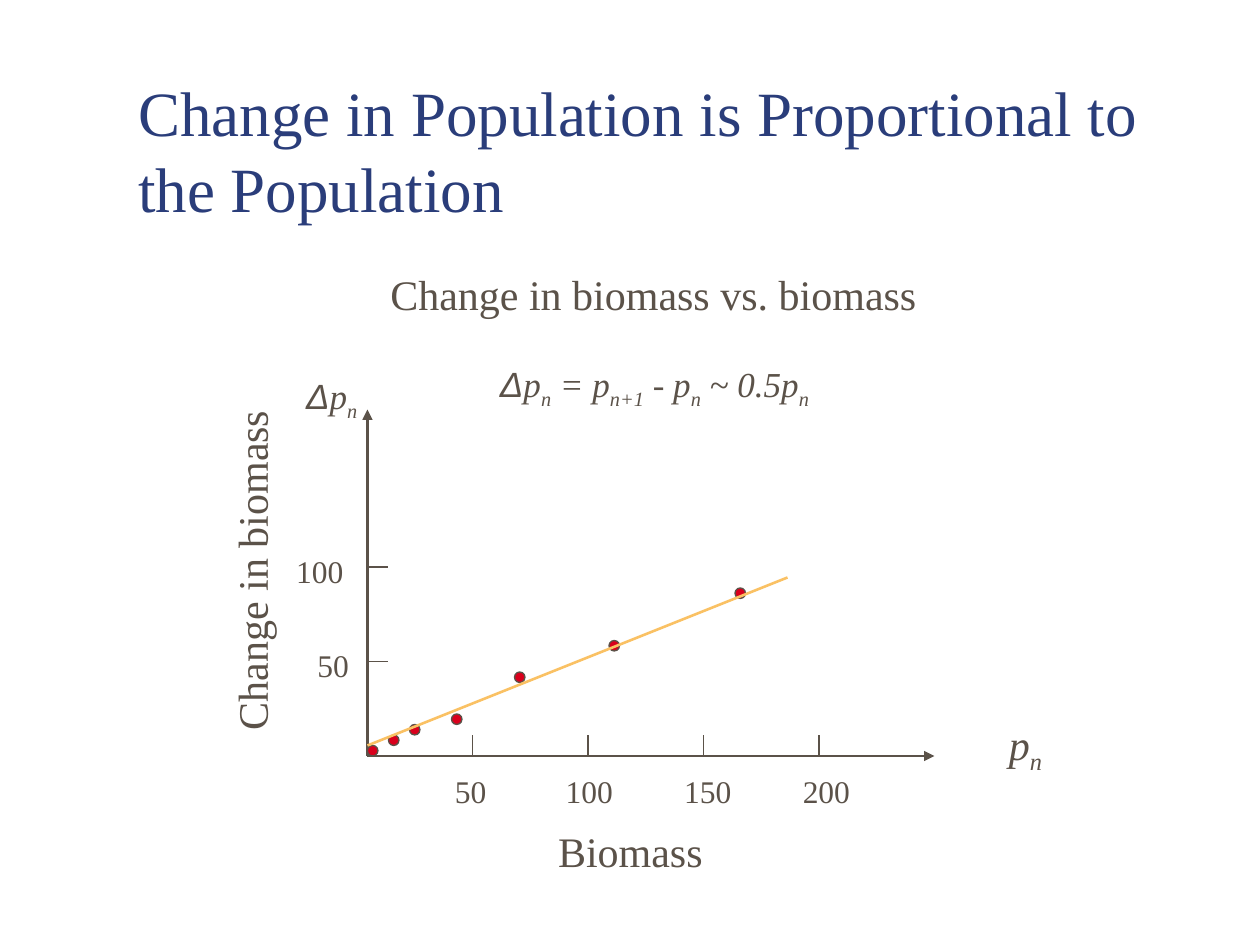
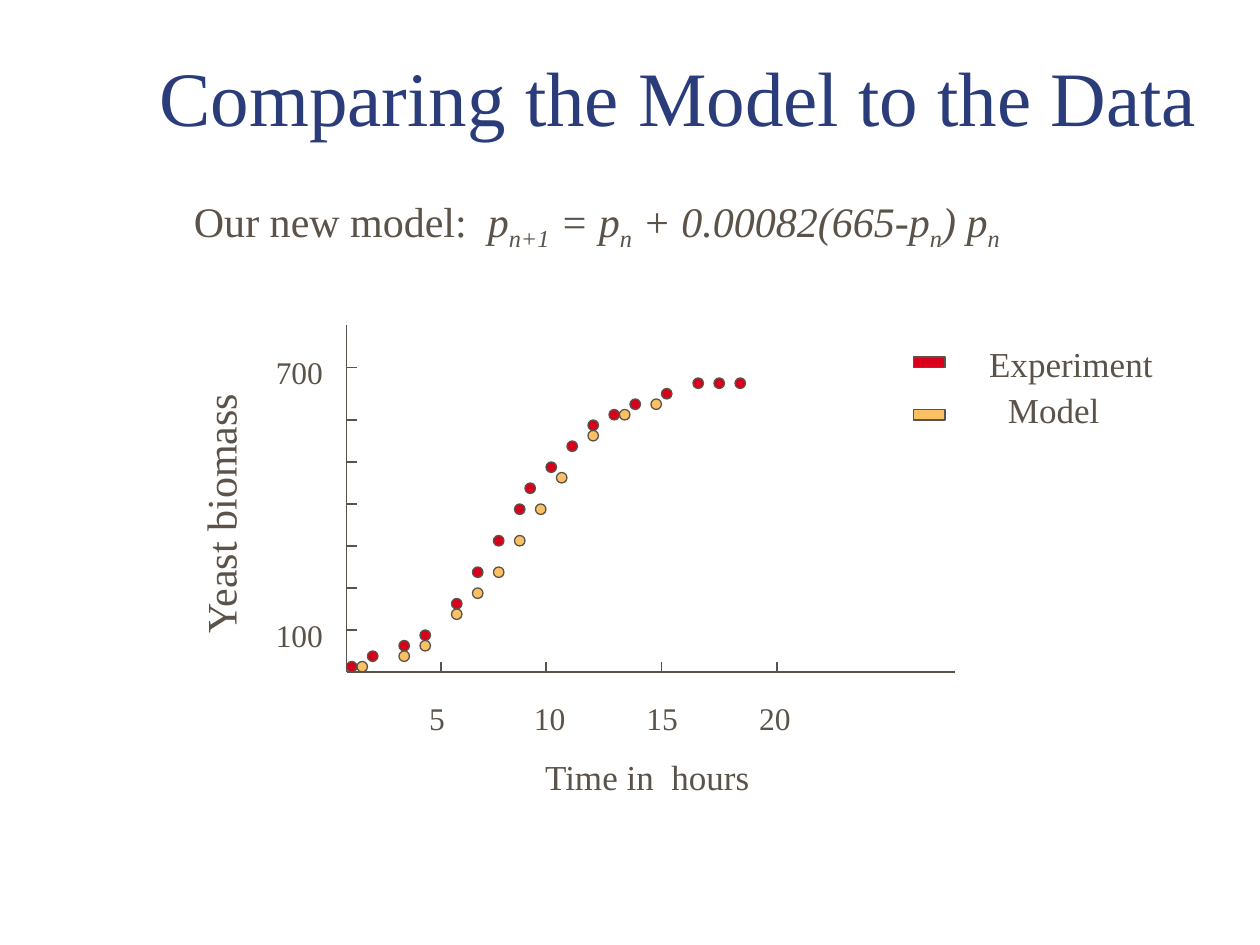
from pptx import Presentation, util as u
from pptx.dml.color import RGBColor
from pptx.enum import shapes, text
from pptx.oxml import ns, xmlchemy

COLORS = {"title": "2A3D7A", "ink": "5B5249", "data": "D9001C", "model": "FAC164"}
SERIF, SANS = "Times New Roman", "Arial"
GRID = 2.54 / 12


def color(name):
    return RGBColor.from_string(COLORS[name])


def grid(steps):
    return u.Cm(steps * GRID)


def plain(words):
    return [(words, SERIF, False, False)]


def formula(*pieces):
    runs = []
    for index, piece in enumerate(pieces):
        if piece.startswith("Δ"):
            runs.append(("Δ", SANS, True, False))
            piece = piece[1:]
        runs.append((piece, SERIF, True, index % 2 == 1))
    return runs


class Deck:
    def __init__(self):
        self.presentation = Presentation()
        self.presentation.slide_width = u.Cm(25.4)
        self.presentation.slide_height = u.Cm(19.05)
        self.slide = None

    def new_slide(self):
        layout = self.presentation.slide_layouts[6]
        self.slide = self.presentation.slides.add_slide(layout)

    def add_runs(self, paragraph, runs, size, ink):
        for words, font_name, italic, subscript in runs:
            run = paragraph.add_run()
            run.text = words
            run.font.name = font_name
            run.font.size = u.Pt(size)
            run.font.italic = italic
            run.font.color.rgb = color(ink)
            if subscript:
                run._r.get_or_add_rPr().set("baseline", "-25000")

    def text_box(self, box, runs, size, ink="ink", wrap=False, rotation=0):
        shape = self.slide.shapes.add_textbox(*map(u.Cm, box))
        shape.rotation = rotation
        frame = shape.text_frame
        frame.word_wrap = wrap
        if not wrap:
            frame.auto_size = text.MSO_AUTO_SIZE.SHAPE_TO_FIT_TEXT
        self.add_runs(frame.paragraphs[0], runs, size, ink)
        return frame

    def title(self, box, words, size):
        frame = self.text_box(box, plain(words), size, "title", wrap=True)
        frame.vertical_anchor = text.MSO_ANCHOR.BOTTOM

    def vertical_label(self, box, words):
        self.text_box(box, plain(words), 24, rotation=270)

    def tick_labels(self, box, labels, first, step):
        words = "".join("\t" + label for label in labels)
        frame = self.text_box(box, plain(words), 18, wrap=True)
        properties = frame.paragraphs[0]._p.get_or_add_pPr()
        stops = xmlchemy.OxmlElement("a:tabLst")
        for index in range(len(labels)):
            stop = xmlchemy.OxmlElement("a:tab")
            stop.set("pos", str(u.Cm(first + index * step)))
            stop.set("algn", "ctr")
            stops.append(stop)
        properties.append(stops)

    def line(self, x1, y1, x2, y2, width=0.75, ink="ink", arrow=False):
        connector = self.slide.shapes.add_connector(
            shapes.MSO_CONNECTOR.STRAIGHT, *map(grid, (x1, y1, x2, y2)))
        connector.line.color.rgb = color(ink)
        connector.line.width = u.Pt(width)
        properties = connector._element.spPr
        if arrow:
            tail = xmlchemy.OxmlElement("a:tailEnd")
            tail.set("type", "triangle")
            properties.find(ns.qn("a:ln")).append(tail)
        properties.append(xmlchemy.OxmlElement("a:effectLst"))

    def axes(self, origin, top, right, x_ticks, y_ticks, tick, width=0.75, arrow=False):
        x, y = origin
        self.line(x, y, x, top, width, arrow=arrow)
        self.line(x, y, right, y, width, arrow=arrow)
        for x_tick in x_ticks:
            self.line(x_tick, y, x_tick, y - tick)
        for y_tick in y_ticks:
            self.line(x, y_tick, x + tick, y_tick)

    def mark(self, kind, x, y, fill, width=1):
        shape = self.slide.shapes.add_shape(kind, *map(grid, (x, y, width, 1)))
        shape.shadow.inherit = False
        shape.fill.solid()
        shape.fill.fore_color.rgb = color(fill)
        shape.line.color.rgb = color("ink")
        shape.line.width = u.Pt(0.75)

    def dots(self, points, fill):
        for x, y in points:
            self.mark(shapes.MSO_SHAPE.OVAL, x, y, fill)

    def legend_entry(self, y, fill, box, words):
        self.mark(shapes.MSO_SHAPE.RECTANGLE, 87, y, fill, width=3)
        self.text_box(box, plain(words), 20)


def proportional_slide(deck):
    deck.new_slide()
    deck.title((2.54, 1.48, 21.59, 3.18),
               "Change in Population is Proportional to the Population", 36)
    deck.axes((35, 72), 39, 89, range(45, 79, 11), (63, 54), 2, width=1.5, arrow=True)
    deck.dots([(35, 71), (37, 70), (39, 69), (43, 68), (49, 64), (58, 61), (70, 56)], "data")
    deck.text_box((20.09, 14.35, 1.3, 1.42), formula("p", "n"), 24)
    deck.text_box((5.92, 7.42, 1.7, 1.22), formula("Δp", "n"), 20)
    deck.text_box((11, 16.51, 3.6, 1.27), plain("Biomass"), 24)
    deck.vertical_label((1.5, 10.77, 7.13, 1.27), "Change in biomass")
    deck.tick_labels((8.46, 15.44, 9.09, 1.02), ("50", "100", "150", "200"), 0.78, 2.39)
    deck.text_box((6.15, 12.9, 1.3, 1.02), plain("50"), 18)
    deck.text_box((5.72, 11, 1.6, 1.02), plain("100"), 18)
    deck.text_box((7.62, 5.28, 11.3, 1.27), plain("Change in biomass vs. biomass"), 24)
    deck.text_box((9.83, 7.19, 7.2, 1.22),
                  formula("Δp", "n", " = p", "n+1", " - p", "n", " ~ 0.5p", "n"), 20)
    deck.line(35, 71, 75, 55, 1.5, "model")


def comparison_slide(deck):
    deck.new_slide()
    deck.title((2.97, 0.64, 21.59, 2.34), "Comparing the Model to the Data", 44)
    model = formula("p", "n+1", " = p", "n", " + 0.00082(665-p", "n", ") p", "n")
    deck.text_box((3.66, 3.81, 17.3, 1.42), plain("Our new model:  ") + model, 24)
    deck.axes((33, 64), 31, 91, (42, 52, 63, 74), (*range(60, 39, -4), 35), 1)
    deck.dots([(33, 63), (35, 62), (38, 61), (40, 60), (43, 57), (45, 54),
               (47, 51), (49, 48), (50, 46), (52, 44), (54, 42), (56, 40),
               (58, 39), (60, 38), (63, 37), (66, 36), (68, 36), (70, 36)], "data")
    deck.tick_labels((8.26, 13.97, 8.89, 1.02), ("5", "10", "15", "20"), 0.3, 2.27)
    frame = deck.text_box((5.31, 6.99, 1.6, 6.35), plain("700"), 18)
    lowest = frame.add_paragraph()
    lowest.space_before = u.Pt(129)
    deck.add_runs(lowest, plain("100"), 18, "ink")
    deck.text_box((10.74, 15.11, 4.8, 1.12), plain("Time in  hours"), 20)
    deck.vertical_label((1.63, 9.58, 5.61, 1.27), "Yeast biomass")
    deck.dots([(34, 63), (38, 62), (40, 61), (43, 58), (45, 56), (47, 54),
               (49, 51), (51, 48), (53, 45), (56, 41), (59, 39), (62, 38)], "model")
    deck.legend_entry(34, "data", (19.69, 6.78, 4, 1.12), "Experiment")
    deck.legend_entry(39, "model", (20.07, 7.7, 2.5, 1.12), "Model")


def main():
    deck = Deck()
    proportional_slide(deck)
    comparison_slide(deck)
    deck.presentation.save("out.pptx")


if __name__ == "__main__":
    main()
